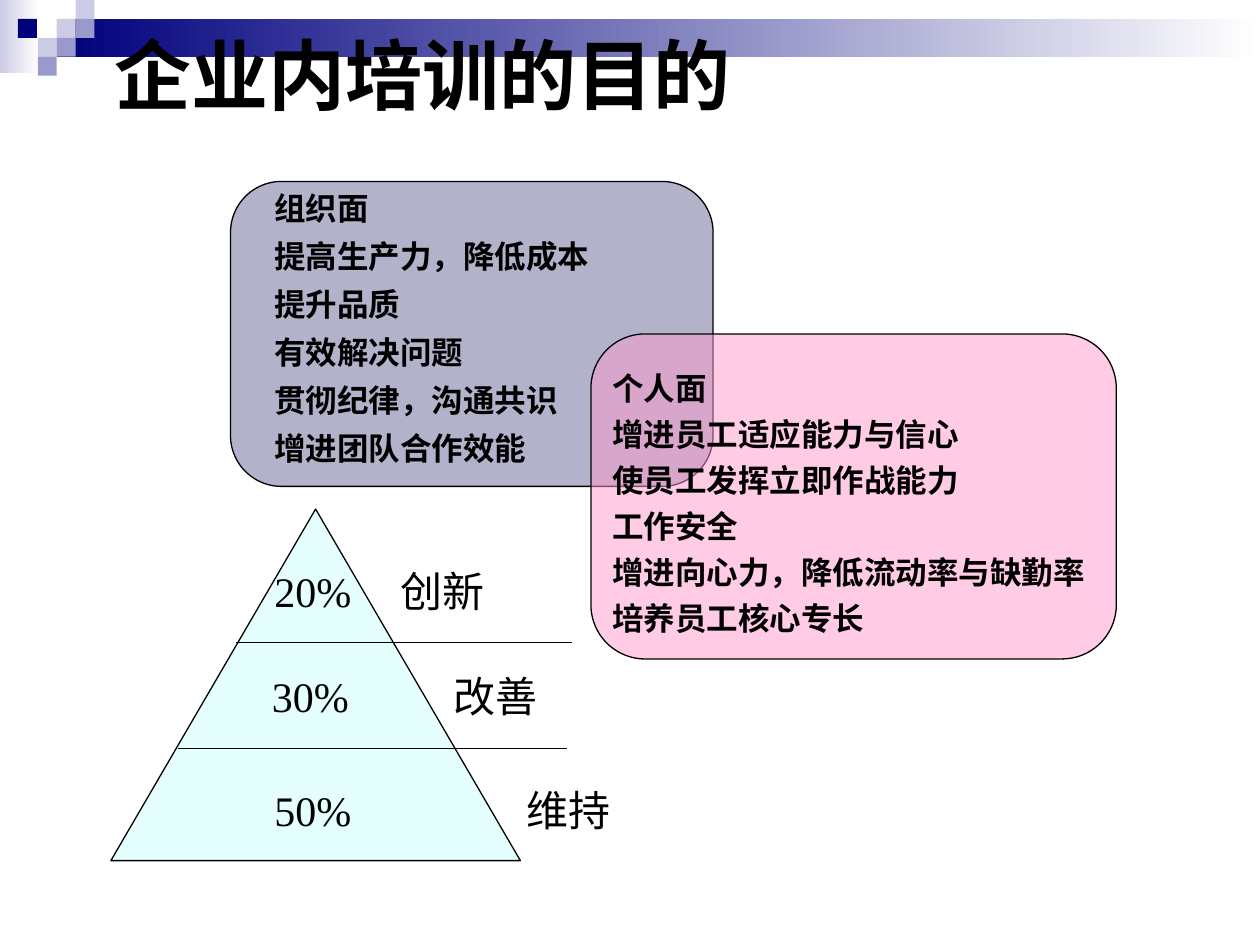
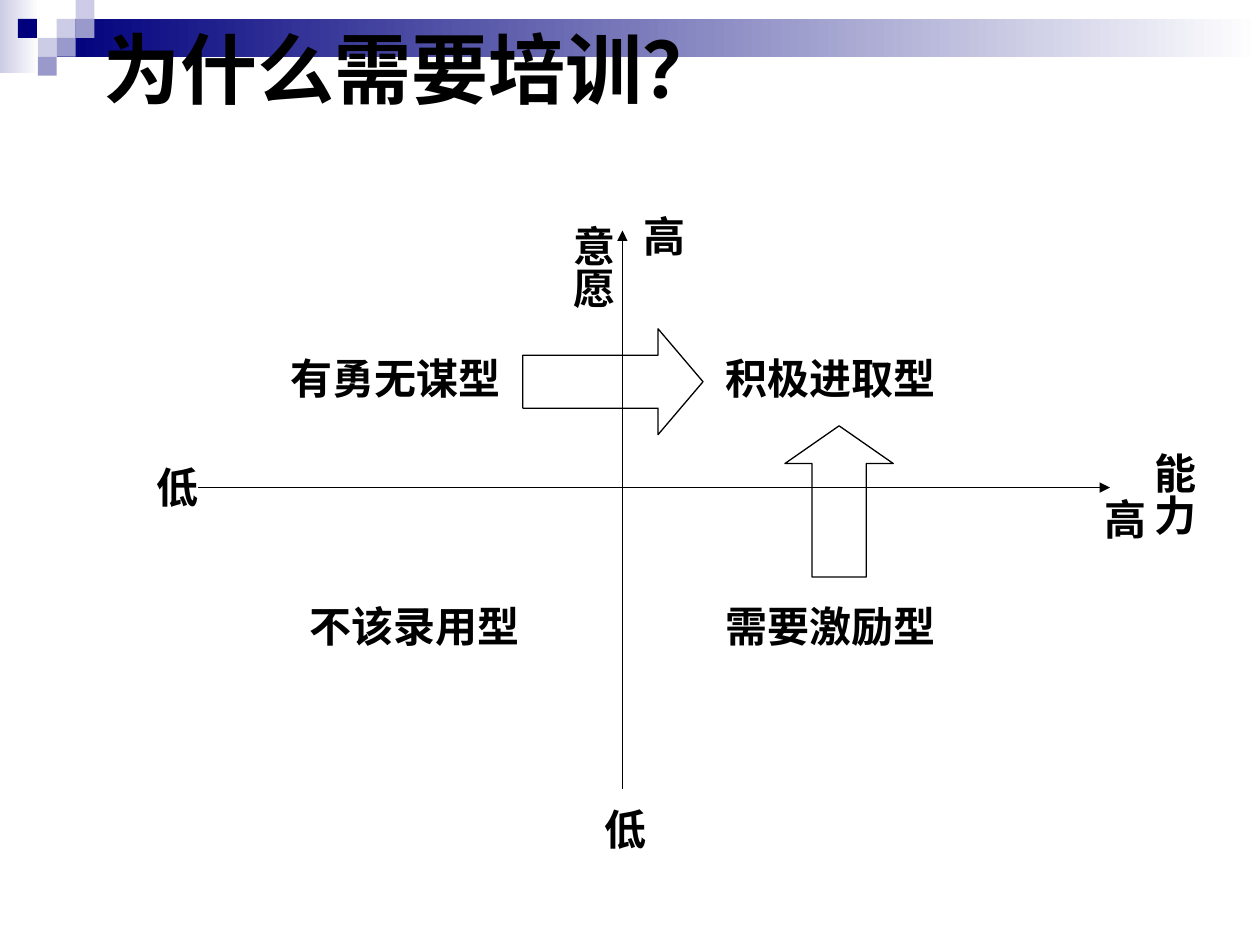
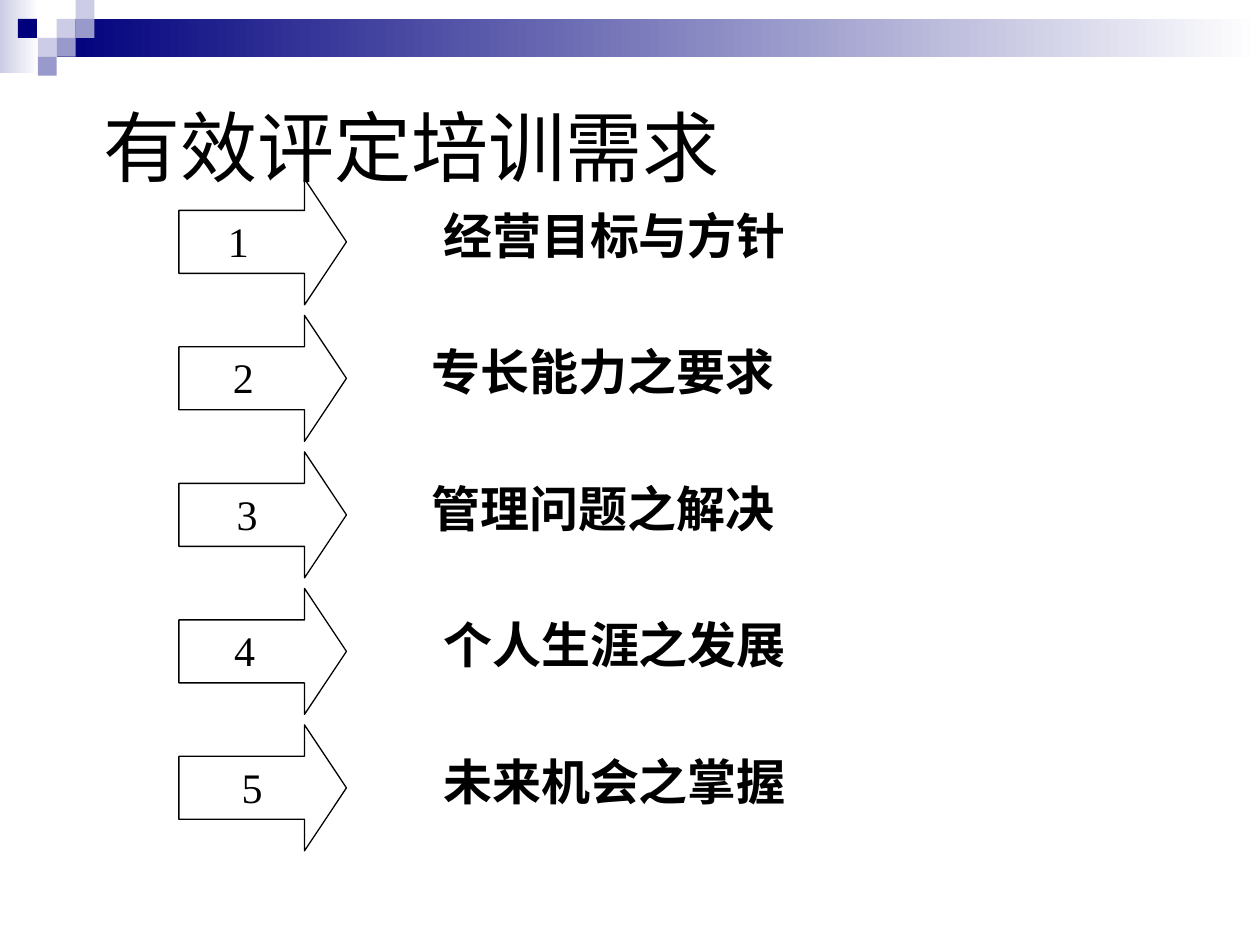
from dataclasses import dataclass

from lxml.etree import SubElement
from pptx import Presentation
from pptx.dml.color import RGBColor
from pptx.enum.shapes import MSO_CONNECTOR, MSO_SHAPE as Preset
from pptx.enum.text import MSO_ANCHOR as Anchor, MSO_AUTO_SIZE as AutoSize, PP_ALIGN as Align
from pptx.oxml.ns import qn
from pptx.util import Inches, Pt


@dataclass(frozen=True)
class Theme:
    ink: str = "000000"
    white: str = "FFFFFF"
    navy: str = "00007D"
    lilac: str = "9999CC"
    pale_lilac: str = "CCCCE6"
    slate: str = "666699"
    pink: str = "FF99CC"
    aqua: str = "CCFFFF"
    title_font: str = "Arial"
    body_font: str = "Times New Roman"
    title_size: int = 44
    item_size: int = 28
    label_size: int = 24
    list_size: int = 18
    line_width: float = 0.75
    tile: float = 0.15


class Deck:
    """Holds the theme and the slide being drawn."""

    def __init__(self, theme):
        self.theme = theme
        self.presentation = Presentation()
        self.presentation.slide_width = Inches(10)
        self.presentation.slide_height = Inches(7.5)
        self.slide = None

    def new_slide(self, title, box, bold=True):
        layout = self.presentation.slide_layouts[6]
        self.slide = self.presentation.slides.add_slide(layout)
        self.corner_pattern()
        self.text([title], box, self.theme.title_size, bold,
                  font=self.theme.title_font, anchor=Anchor.MIDDLE, grow=False)

    def corner_pattern(self):
        theme, tile = self.theme, self.theme.tile
        self.gradient_band((0, 0, 0.31, 0.58), theme.pale_lilac)
        self.gradient_band((0.45, tile, 9.55, 2 * tile), theme.navy)
        tiles = [(3, 1, theme.pale_lilac), (4, 0, theme.pale_lilac),
                 (4, 1, theme.lilac), (2, 2, theme.pale_lilac),
                 (0.95, 1, theme.navy), (3, 2, theme.lilac), (2, 3, theme.lilac)]
        for column, row, color in tiles:
            self.shape(Preset.RECTANGLE, (column * tile, row * tile, tile, tile),
                       fill=color, outlined=False)

    def gradient_band(self, box, color):
        fill = self.shape(Preset.RECTANGLE, box, outlined=False).fill
        fill.gradient()
        fill.gradient_angle = 180
        for stop, stop_color in zip(fill.gradient_stops, (self.theme.white, color)):
            stop.color.rgb = RGBColor.from_string(stop_color)

    def shape(self, preset, box, fill=None, opacity=100, adjustments=(), outlined=True):
        shape = self.slide.shapes.add_shape(preset, *map(Inches, box))
        shape.shadow.inherit = False
        for index, value in enumerate(adjustments):
            shape.adjustments[index] = value
        if fill:
            shape.fill.solid()
            shape.fill.fore_color.rgb = RGBColor.from_string(fill)
            if opacity < 100:
                color = next(shape.fill._xPr.iter(qn("a:srgbClr")))
                SubElement(color, qn("a:alpha"), val=str(opacity * 1000))
        else:
            shape.fill.background()
        if outlined:
            self.ink_line(shape.line)
        else:
            shape.line.fill.background()
        return shape

    def ink_line(self, line):
        line.color.rgb = RGBColor.from_string(self.theme.ink)
        line.width = Pt(self.theme.line_width)

    def line(self, start, end, arrow=False):
        connector = self.slide.shapes.add_connector(
            MSO_CONNECTOR.STRAIGHT, *map(Inches, (*start, *end)))
        self.ink_line(connector.line)
        if arrow:
            SubElement(connector.line._get_or_add_ln(), qn("a:tailEnd"), type="triangle")
        SubElement(connector._element.spPr, qn("a:effectLst"))

    def text(self, lines, box, size, bold=False, font=None, anchor=Anchor.TOP,
             grow=True, wrap=True, line_spacing=None, gap=0, vertical=False):
        shape = self.slide.shapes.add_textbox(*map(Inches, box))
        frame = shape.text_frame
        frame.word_wrap = wrap
        frame.auto_size = AutoSize.SHAPE_TO_FIT_TEXT if grow else AutoSize.NONE
        frame.vertical_anchor = anchor
        side, end = (0.05, 0.1) if vertical else (0.1, 0.05)
        frame.margin_left = frame.margin_right = Inches(side)
        frame.margin_top = frame.margin_bottom = Inches(end)
        if vertical:
            frame._txBody.bodyPr.set("vert", "eaVert")
        for index, line in enumerate(lines):
            paragraph = frame.add_paragraph() if index else frame.paragraphs[0]
            if index:
                paragraph.space_before = Pt(gap)
            if line_spacing:
                paragraph.line_spacing = line_spacing
            if vertical:
                paragraph.alignment = Align.CENTER
            run = paragraph.add_run()
            run.text = line
            run.font.name = font or self.theme.body_font
            run.font.size = Pt(size)
            run.font.bold = bold
            run.font.color.rgb = RGBColor.from_string(self.theme.ink)

    def panel(self, box, color, lines, text_box, line_spacing):
        self.shape(Preset.ROUNDED_RECTANGLE, box, color, 50, [0.167])
        self.text(lines, text_box, self.theme.list_size, True,
                  line_spacing=line_spacing, gap=11.2)

    def label(self, words, left, top, width, bold=False, wrap=True):
        self.text([words], (left, top, width, 0.5), self.theme.label_size, bold, wrap=wrap)


def purpose_slide(deck):
    theme = deck.theme
    deck.new_slide("企业内培训的目的", (0.81, 0.06, 8.39, 1.05))

    # Overlapping panels
    deck.panel((1.83, 1.44, 3.83, 2.42), theme.slate,
               ["组织面", "提高生产力，降低成本", "提升品质", "有效解决问题",
                "贯彻纪律，沟通共识", "增进团队合作效能"],
               (2.08, 1.52, 4, 2.24), 0.75)
    deck.panel((4.69, 2.65, 4.17, 2.58), theme.pink,
               ["个人面", "增进员工适应能力与信心", "使员工发挥立即作战能力", "工作安全",
                "增进向心力，降低流动率与缺勤率", "培养员工核心专长"],
               (4.76, 2.96, 4.25, 2.14), 0.7)

    # Pyramid with its levels
    deck.shape(Preset.ISOSCELES_TRIANGLE, (0.88, 4.04, 3.25, 2.79), theme.aqua, 50)
    deck.line((1.87, 5.1), (4.54, 5.1))
    deck.line((1.41, 5.94), (4.5, 5.94))
    levels = [("20%", 2.08, "创新", 3.08, 4.44),
              ("30%", 2.06, "改善", 3.5, 5.27),
              ("50%", 2.08, "维持", 4.08, 6.18)]
    for share, share_left, level, level_left, top in levels:
        deck.label(share, share_left, top, 1.42)
        deck.label(level, level_left, top, 1.5)


def reason_slide(deck):
    deck.new_slide("为什么需要培训？", (0.72, 0.05, 8.39, 0.98))

    # Axes
    deck.line((1.57, 3.87), (8.81, 3.87), arrow=True)
    deck.line((4.94, 6.26), (4.94, 1.83), arrow=True)

    # Quadrants
    upper, lower = 2.75, 4.72
    for words, left, top in [("有勇无谋型", 2.21, upper), ("不该录用型", 2.36, lower),
                             ("需要激励型", 5.66, lower), ("积极进取型", 5.66, upper)]:
        deck.label(words, left, top, 2.8, bold=True)

    # Axis ends and names
    for words, left, top in [("低", 1.14, 3.61), ("低", 4.7, 6.33),
                             ("高", 8.67, 3.87), ("高", 5.01, 1.62)]:
        deck.label(words, left, top, 0.57, bold=True)
    for words, left, top in [("能力", 8.97, 3.49), ("意愿", 4.36, 1.69)]:
        deck.text([words], (left, top, 0.6, 1.34), deck.theme.label_size, True,
                  vertical=True)

    # Moves between quadrants
    deck.shape(Preset.RIGHT_ARROW, (4.15, 2.61, 1.43, 0.84), adjustments=[0.5, 0.425])
    deck.shape(Preset.UP_ARROW, (6.23, 3.38, 0.86, 1.2), adjustments=[0.5, 0.348])


def needs_slide(deck):
    deck.new_slide("有效评定培训需求", (0.72, 0.62, 8.23, 1.08), bold=False)

    # Numbered arrows with their items
    first_top, step = 1.42, 13 / 12
    needs = [("经营目标与方针", 1.71, 3.42), ("专长能力之要求", 1.75, 3.33),
             ("管理问题之解决", 1.78, 3.33), ("个人生涯之发展", 1.76, 3.42),
             ("未来机会之掌握", 1.82, 3.42)]
    for index, (need, number_left, need_left) in enumerate(needs):
        top = first_top + index * step
        deck.shape(Preset.RIGHT_ARROW, (1.42, top, 1.33, 1), adjustments=[0.5, 0.333])
        deck.label(str(index + 1), number_left, top + 0.24, 0.36, wrap=False)
        deck.text([need], (need_left, top + 0.16, 4.5, 0.57), deck.theme.item_size, True)


def main():
    deck = Deck(Theme())
    purpose_slide(deck)
    reason_slide(deck)
    needs_slide(deck)
    deck.presentation.save("out.pptx")


if __name__ == "__main__":
    main()
